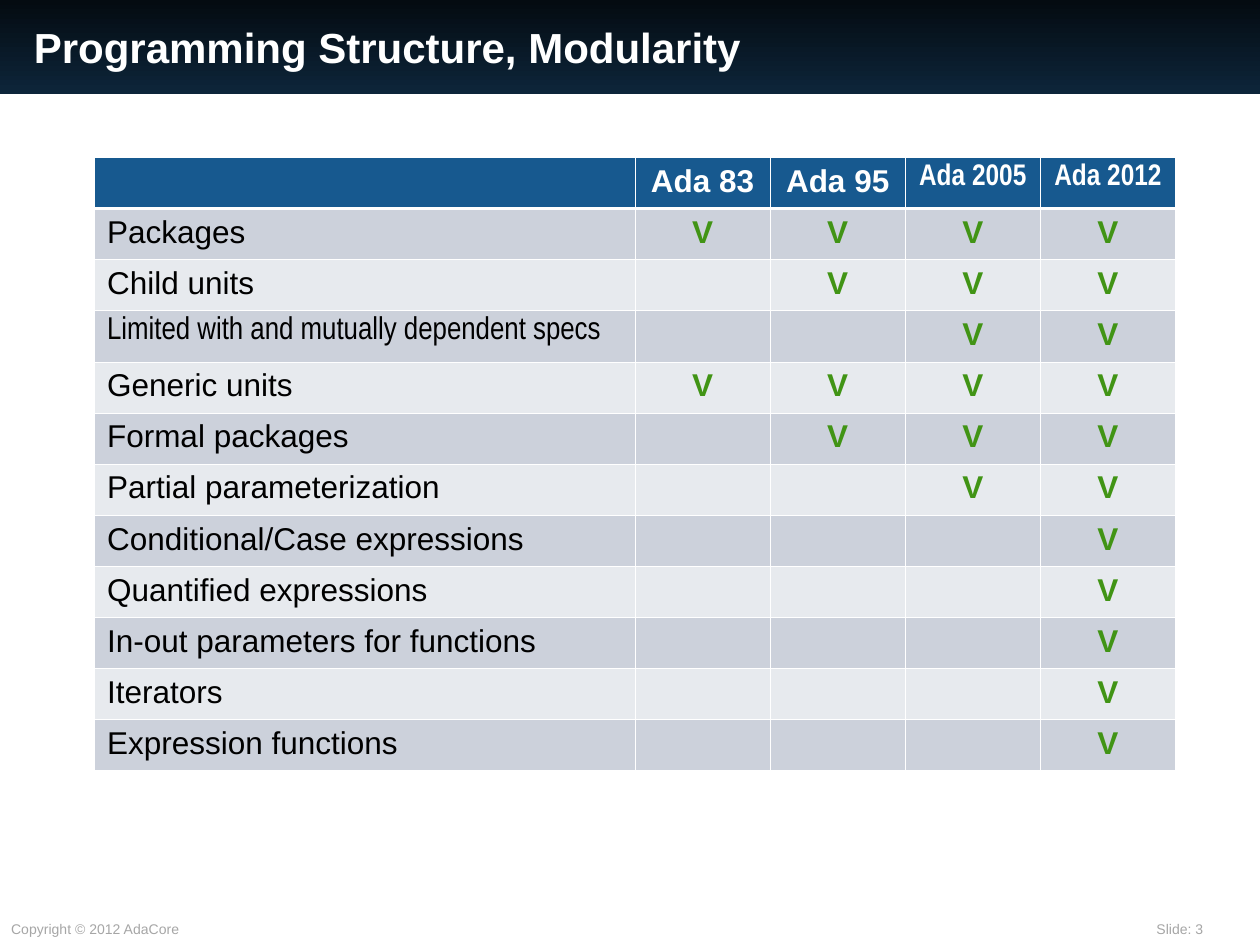
from dataclasses import dataclass

from lxml import etree
from pptx import Presentation
from pptx import util as u
from pptx.dml import color
from pptx.enum import shapes, text
from pptx.oxml import ns


@dataclass(frozen=True)
class Theme:
    """Colours, fonts, type sizes and line widths of the slide."""
    font: str = "Arial"
    narrow_font: str = "Arial Narrow"
    white: str = "FFFFFF"
    black: str = "000000"
    grey: str = "A6A6A6"
    header: str = "17598F"
    bands: tuple = ("CCD1DB", "E7EAEE")
    check: str = "419415"
    banner_top: str = "040B11"
    banner_bottom: str = "0D253A"
    title_size: float = 24
    body_size: float = 18
    narrow_size: float = 17
    footer_size: float = 8
    thin_line: float = 0.45
    thick_line: float = 1.47


THEME = Theme()
VERSIONS = ["Ada 83", "Ada 95", "Ada 2005", "Ada 2012"]
FEATURES = [
    ("Packages", "Ada 83"),
    ("Child units", "Ada 95"),
    ("Limited with and mutually dependent specs", "Ada 2005"),
    ("Generic units", "Ada 83"),
    ("Formal packages", "Ada 95"),
    ("Partial parameterization", "Ada 2005"),
    ("Conditional/Case expressions", "Ada 2012"),
    ("Quantified expressions", "Ada 2012"),
    ("In-out parameters for functions", "Ada 2012"),
    ("Iterators", "Ada 2012"),
    ("Expression functions", "Ada 2012"),
]
NARROW_FEATURE = "Limited with and mutually dependent specs"
NARROW_VERSIONS = ("Ada 2005", "Ada 2012")


def rgb(value):
    """Turn a hex string into a colour."""
    return color.RGBColor.from_string(value)


def write(frame, words, *, size=THEME.body_size, ink=THEME.black, font=THEME.font,
          bold=False, align=text.PP_ALIGN.LEFT):
    """Put one formatted line of text in a text frame."""
    para = frame.paragraphs[0]
    para.alignment = align
    span = para.add_run()
    span.text = words
    span.font.size = u.Pt(size)
    span.font.name = font
    span.font.bold = bold
    span.font.color.rgb = rgb(ink)


class SlideBuilder:
    """Adds styled elements to the current slide."""

    def __init__(self, page, theme):
        """Keep the slide and its style."""
        self.page = page
        self.theme = theme

    def banner(self, left, top, width, height):
        """Add the gradient band behind the title."""
        band = self.page.shapes.add_shape(
            shapes.MSO_SHAPE.RECTANGLE, *map(u.Inches, (left, top, width, height)))
        band.shadow.inherit = False
        band.line.fill.background()
        band.fill.gradient()
        band.fill.gradient_angle = 270
        colours = (self.theme.banner_top, self.theme.banner_bottom)
        for stop, position, value in zip(band.fill.gradient_stops, (0, 1), colours):
            stop.position = position
            stop.color.rgb = rgb(value)

    def label(self, words, left, top, width, height, *, wrap=True,
              anchor=text.MSO_ANCHOR.TOP, **style):
        """Add a text box with one line."""
        box = self.page.shapes.add_textbox(*map(u.Inches, (left, top, width, height)))
        box.text_frame.word_wrap = wrap
        box.text_frame.vertical_anchor = anchor
        write(box.text_frame, words, **style)

    def borders(self, cell, top, bottom):
        """Draw white lines around a cell with the given top and bottom widths."""
        thin = self.theme.thin_line
        properties = cell._tc.get_or_add_tcPr()
        for side, width in (("L", thin), ("R", thin), ("T", top), ("B", bottom)):
            line = etree.SubElement(properties, ns.qn(f"a:ln{side}"), w=str(u.Pt(width)))
            fill = etree.SubElement(line, ns.qn("a:solidFill"))
            etree.SubElement(fill, ns.qn("a:srgbClr"), val=self.theme.white)

    def cell(self, cell, row, words, **style):
        """Fill, outline and write one table cell."""
        theme = self.theme
        self.borders(cell,
                     theme.thick_line if row == 1 else theme.thin_line,
                     theme.thick_line if row == 0 else theme.thin_line)
        cell.fill.solid()
        cell.fill.fore_color.rgb = rgb(theme.bands[(row - 1) % 2] if row else theme.header)
        if words:
            write(cell.text_frame, words, **style)

    def feature_table(self, left, top, width, height, first_column):
        """Add the table of features by language version."""
        theme = self.theme
        rows, columns = len(FEATURES) + 1, len(VERSIONS) + 1
        table = self.page.shapes.add_table(
            rows, columns, *map(u.Inches, (left, top, width, height))).table
        table.horz_banding = False
        for row in table.rows:
            row.height = u.Inches(height / rows)
        table.columns[0].width = u.Inches(first_column)
        for column in range(1, columns):
            table.columns[column].width = u.Inches((width - first_column) / len(VERSIONS))

        self.cell(table.cell(0, 0), 0, "")
        for column, version in enumerate(VERSIONS, 1):
            narrow = version in NARROW_VERSIONS
            self.cell(table.cell(0, column), 0, version, bold=True, ink=theme.white,
                      align=text.PP_ALIGN.CENTER,
                      font=theme.narrow_font if narrow else theme.font,
                      size=theme.narrow_size if narrow else theme.body_size)

        for row, (feature, introduced) in enumerate(FEATURES, 1):
            self.cell(table.cell(row, 0), row, feature,
                      font=theme.narrow_font if feature == NARROW_FEATURE else theme.font)
            first = VERSIONS.index(introduced) + 1
            for column in range(1, columns):
                self.cell(table.cell(row, column), row, "V" if column >= first else "",
                          bold=True, ink=theme.check, align=text.PP_ALIGN.CENTER)


def main():
    """Build and save the slide."""
    deck = Presentation()
    deck.slide_width, deck.slide_height = u.Inches(10), u.Inches(7.5)
    builder = SlideBuilder(deck.slides.add_slide(deck.slide_layouts[6]), THEME)

    footer = {"size": THEME.footer_size, "ink": THEME.grey}
    builder.label("Slide: 3", 9.08, 7.26, 0.91, 0.24, **footer)
    builder.label("Copyright © 2012 AdaCore", -0.01, 7.26, 1.57, 0.24, wrap=False, **footer)
    builder.banner(-0.01, 0, 10.01, 0.75)
    builder.label("Programming Structure, Modularity", 0.17, 0.08, 8.75, 0.58,
                  anchor=text.MSO_ANCHOR.MIDDLE, size=THEME.title_size,
                  ink=THEME.white, bold=True)
    builder.feature_table(0.75, 1.25, 8.58, 4.87, first_column=4.29)
    deck.save("out.pptx")


if __name__ == "__main__":
    main()
